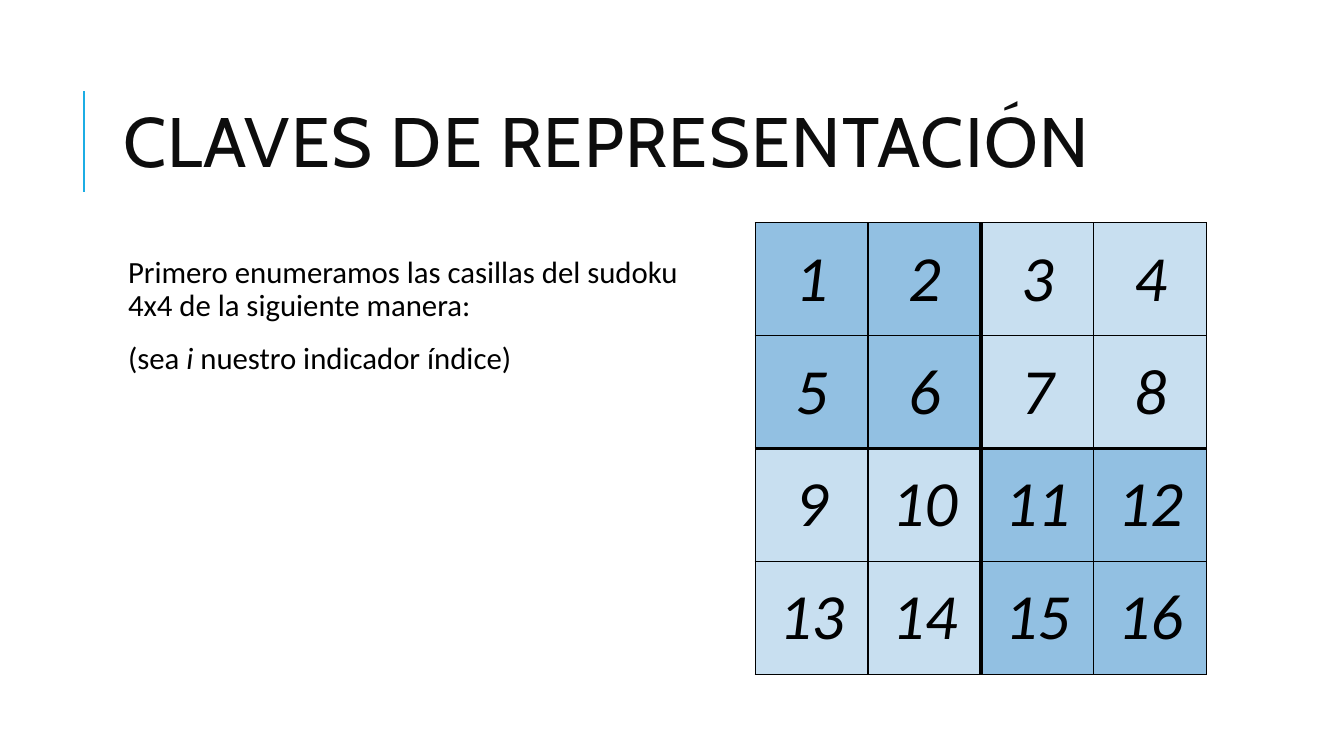
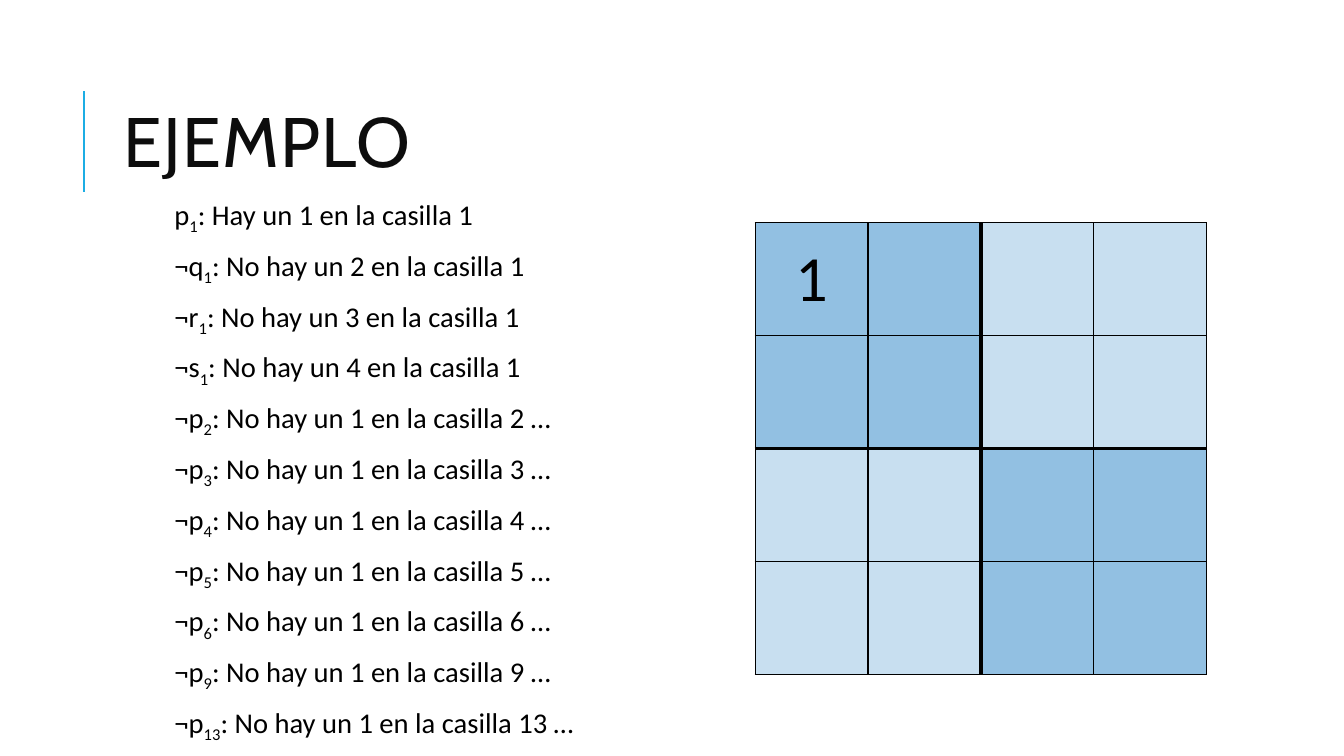
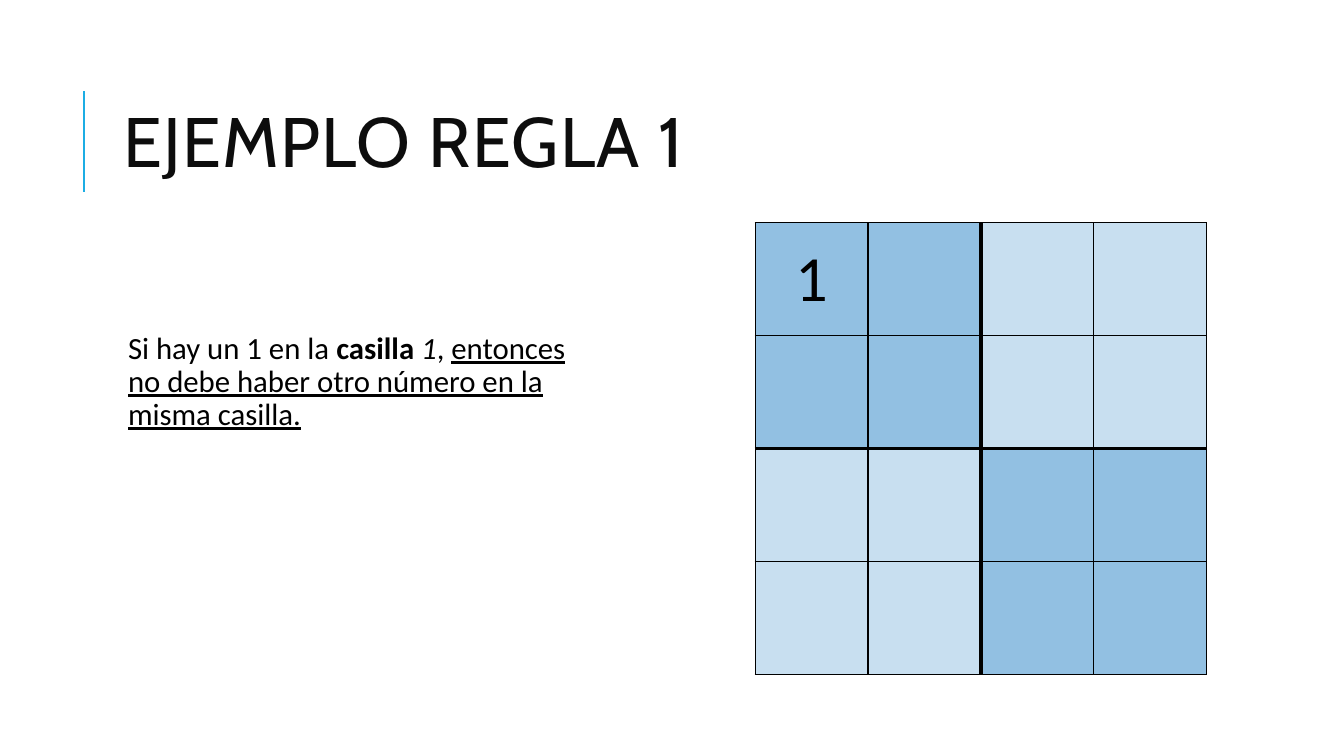
"""Build three slides that explain how a 4x4 sudoku is encoded."""
from lxml import etree
from pptx import Presentation, util as u
from pptx.dml.color import RGBColor
from pptx.enum import shapes, text
from pptx.oxml.ns import qn

PX = 9144
COLORS = {"accent": "1CADE4", "title": "0D0D0D", "ink": "000000", "cell": "2683C6"}
TITLE_FONT, BODY_FONT = "Cabin", "Calibri"
SIDE, BLOCK = 4, 2
GRID_LEFT, GRID_TOP, CELL = 749, 221, 112
STRONG, SOFT = 50, 25

LITERALS = [
    ("p", 1, "Hay un 1 en la casilla 1"),
    ("¬q", 1, "No hay un 2 en la casilla 1"),
    ("¬r", 1, "No hay un 3 en la casilla 1"),
    ("¬s", 1, "No hay un 4 en la casilla 1"),
] + [("¬p", n, f"No hay un 1 en la casilla {n} …") for n in (2, 3, 4, 5, 6, 9, 13)]

SLIDES = [
    {
        "title": "CLAVES DE REPRESENTACIÓN",
        "box": (112, 250, 574, 440), "size": 22, "spacing": 0.9,
        "body": [
            [("Primero enumeramos las casillas del sudoku 4x4 de la siguiente manera:", "")],
            [("(sea ", ""), ("i", "italic"), (" nuestro indicador índice)", "")],
        ],
        "numbers": range(1, SIDE * SIDE + 1), "italic": True,
    },
    {
        "title": "EJEMPLO",
        "box": (158, 194, 519, 509), "size": 20.4, "spacing": 0.8,
        "body": [[(letter, ""), (str(index), "sub"), (": " + meaning, "")]
                 for letter, index, meaning in LITERALS],
        "numbers": [1], "italic": False,
    },
    {
        "title": "EJEMPLO REGLA 1",
        "box": (112, 325, 457, 124), "size": 22, "spacing": 0.9,
        "body": [
            [("Si hay un 1 en la ", ""), ("casilla ", "bold"), ("1", "italic"), (", ", ""),
             ("entonces no debe haber otro número en la misma casilla.", "underline")],
        ],
        "numbers": [1], "italic": False,
    },
]


def px(*lengths):
    return [u.Emu(length * PX) for length in lengths]


def rgb(name):
    return RGBColor.from_string(COLORS[name])


def add_run(paragraph, words, size, font=BODY_FONT, color="ink", style=""):
    run = paragraph.add_run()
    run.text = words
    run.font.size = u.Pt(size)
    run.font.name = font
    run.font.color.rgb = rgb(color)
    if style == "sub":
        run.font._element.set("baseline", "-25000")
    elif style:
        setattr(run.font, style, True)
    return run


def add_heading(slide, words):
    title = slide.shapes.title
    title.left, title.top, title.width, title.height = px(112, 64, 1063, 164)
    frame = title.text_frame
    frame.auto_size = text.MSO_AUTO_SIZE.NONE
    frame.vertical_anchor = text.MSO_ANCHOR.MIDDLE
    paragraph = frame.paragraphs[0]
    paragraph.alignment = text.PP_ALIGN.LEFT
    paragraph.line_spacing = 0.8
    run = add_run(paragraph, words, 50, TITLE_FONT, "title")
    run.font._element.set("spc", "100")

    rule = slide.shapes.add_connector(shapes.MSO_CONNECTOR.STRAIGHT, *px(83, 190, 83, 90))
    rule.line.color.rgb = rgb("accent")
    rule.line.width = u.Pt(1.5)
    etree.SubElement(rule._element.spPr, qn("a:effectLst"))


def add_body(slide, box, paragraphs, size, spacing):
    frame = slide.shapes.add_textbox(*px(*box)).text_frame
    frame.word_wrap = True
    frame.margin_left, frame.margin_top, frame.margin_right, frame.margin_bottom = px(15, 5, 5, 5)
    for i, runs in enumerate(paragraphs):
        paragraph = frame.add_paragraph() if i else frame.paragraphs[0]
        paragraph.line_spacing = spacing
        paragraph.space_before, paragraph.space_after = u.Pt(12), u.Pt(2)
        for words, style in runs:
            add_run(paragraph, words, size, style=style)


def paint_cell(cell, row, column):
    cell.fill.solid()
    cell.fill.fore_color.rgb = rgb("cell")
    opacity = STRONG if row // BLOCK == column // BLOCK else SOFT
    properties = cell._tc.get_or_add_tcPr()
    tint = properties.find(".//" + qn("a:srgbClr"))
    etree.SubElement(tint, qn("a:alpha"), val=str(opacity * 1000))
    edges = {"L": column, "R": column + 1, "T": row, "B": row + 1}
    for position, (side, edge) in enumerate(edges.items()):
        width = u.Pt(3 if edge == BLOCK else 1)
        border = etree.Element(qn("a:ln" + side), w=str(width))
        fill = etree.SubElement(border, qn("a:solidFill"))
        etree.SubElement(fill, qn("a:srgbClr"), val=COLORS["ink"])
        properties.insert(position, border)


def add_sudoku(slide, numbers, italic):
    span = SIDE * CELL
    table = slide.shapes.add_table(SIDE, SIDE, *px(GRID_LEFT, GRID_TOP, span, span)).table
    table.first_row = table.horz_banding = False
    for row in range(SIDE):
        for column in range(SIDE):
            cell = table.cell(row, column)
            paint_cell(cell, row, column)
            cell.vertical_anchor = text.MSO_ANCHOR.MIDDLE
            cell.margin_left, cell.margin_top, cell.margin_right, cell.margin_bottom = px(12, 0, 12, 0)
            number = row * SIDE + column + 1
            if number in numbers:
                paragraph = cell.text_frame.paragraphs[0]
                paragraph.alignment = text.PP_ALIGN.CENTER
                add_run(paragraph, str(number), 46, style="italic" if italic else "")


def main():
    deck = Presentation()
    deck.slide_width, deck.slide_height = px(1333, 750)
    for content in SLIDES:
        slide = deck.slides.add_slide(deck.slide_layouts[5])
        add_heading(slide, content["title"])
        add_body(slide, content["box"], content["body"], content["size"], content["spacing"])
        add_sudoku(slide, content["numbers"], content["italic"])
    deck.save("out.pptx")


if __name__ == "__main__":
    main()
